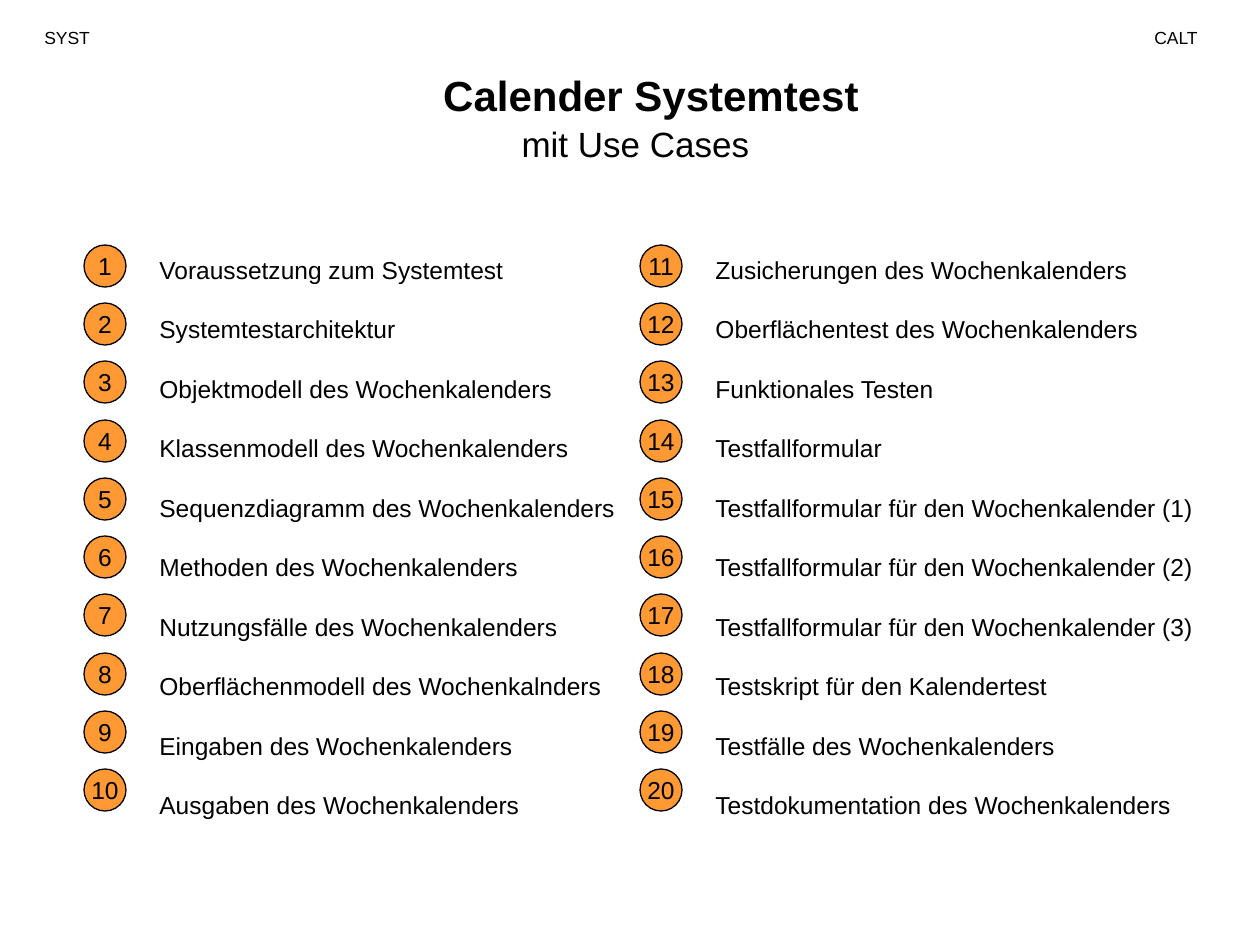
from dataclasses import dataclass

from pptx import Presentation
from pptx.dml.color import RGBColor
from pptx.enum.shapes import MSO_SHAPE
from pptx.enum.text import MSO_ANCHOR, PP_ALIGN
from pptx.util import Emu, Pt

PX_PER_INCH = 126
FONT = "Arial"
BLACK = "000000"
ORANGE = "FF9933"
LIST_TOP, LIST_H = 234, 592
BADGE_TOP, BADGE_SPAN, BADGE_SIZE = 245, 524, 42


@dataclass
class Label:
    text: str
    x: int
    y: int
    w: int
    h: int
    size: int
    align: PP_ALIGN = PP_ALIGN.CENTER
    bold: bool = False


@dataclass
class Column:
    badge_x: int
    text_x: int
    text_w: int
    first: int
    topics: list[str]


LABELS = [
    Label("Calender Systemtest", 273, 63, 756, 63, 24, bold=True),
    Label("SYST", 32, 21, 116, 34, 10, align=PP_ALIGN.LEFT),
    Label("CALT", 1124, 21, 104, 34, 10),
    Label("mit Use Cases", 494, 116, 283, 55, 20),
]

COLUMNS = [
    Column(84, 147, 483, 1, [
        "Voraussetzung zum Systemtest",
        "Systemtestarchitektur",
        "Objektmodell des Wochenkalenders",
        "Klassenmodell des Wochenkalenders",
        "Sequenzdiagramm des Wochenkalenders",
        "Methoden des Wochenkalenders",
        "Nutzungsfälle des Wochenkalenders",
        "Oberflächenmodell des Wochenkalnders",
        "Eingaben des Wochenkalenders",
        "Ausgaben des Wochenkalenders",
    ]),
    Column(640, 703, 525, 11, [
        "Zusicherungen des Wochenkalenders",
        "Oberflächentest des Wochenkalenders",
        "Funktionales Testen",
        "Testfallformular",
        "Testfallformular für den Wochenkalender (1)",
        "Testfallformular für den Wochenkalender (2)",
        "Testfallformular für den Wochenkalender (3)",
        "Testskript für den Kalendertest",
        "Testfälle des Wochenkalenders",
        "Testdokumentation des Wochenkalenders",
    ]),
]


def px(n: int) -> Emu:
    return Emu(round(n * 914400 / PX_PER_INCH))


def color(value: str) -> RGBColor:
    return RGBColor.from_string(value)


def write(p, text: str, *, size: int = 14, bold: bool = False,
          align: PP_ALIGN = PP_ALIGN.LEFT) -> None:
    p.alignment = align
    r = p.add_run()
    r.text = text
    r.font.name = FONT
    r.font.size = Pt(size)
    r.font.bold = bold
    r.font.color.rgb = color(BLACK)


def add_box(s, x: int, y: int, w: int, h: int):
    tf = s.shapes.add_textbox(px(x), px(y), px(w), px(h)).text_frame
    tf.word_wrap = True
    return tf


def add_label(s, label: Label) -> None:
    tf = add_box(s, label.x, label.y, label.w, label.h)
    write(tf.paragraphs[0], label.text, size=label.size, bold=label.bold,
          align=label.align)


def add_badge(s, x: int, y: int, number: int) -> None:
    sp = s.shapes.add_shape(MSO_SHAPE.OVAL, px(x), px(y),
                            px(BADGE_SIZE), px(BADGE_SIZE))
    sp.shadow.inherit = False
    sp.fill.solid()
    sp.fill.fore_color.rgb = color(ORANGE)
    sp.line.color.rgb = color(BLACK)
    sp.line.width = Pt(0.75)
    tf = sp.text_frame
    tf.word_wrap = False
    tf.vertical_anchor = MSO_ANCHOR.MIDDLE
    write(tf.paragraphs[0], str(number), align=PP_ALIGN.CENTER)


def add_column(s, col: Column) -> None:
    tf = add_box(s, col.text_x, LIST_TOP, col.text_w, LIST_H)
    for i, topic in enumerate(col.topics):
        y = BADGE_TOP + round(i * BADGE_SPAN / (len(col.topics) - 1))
        add_badge(s, col.badge_x, y, col.first + i)
        p = tf.add_paragraph() if i else tf.paragraphs[0]
        p.line_spacing = 1.5
        if i:
            p.space_before = Pt(8.8)
        write(p, topic)


def main() -> None:
    prs = Presentation()
    prs.slide_width, prs.slide_height = px(1260), px(945)
    s = prs.slides.add_slide(prs.slide_layouts[6])
    for label in LABELS:
        add_label(s, label)
    for col in COLUMNS:
        add_column(s, col)
    prs.save("out.pptx")


if __name__ == "__main__":
    main()
